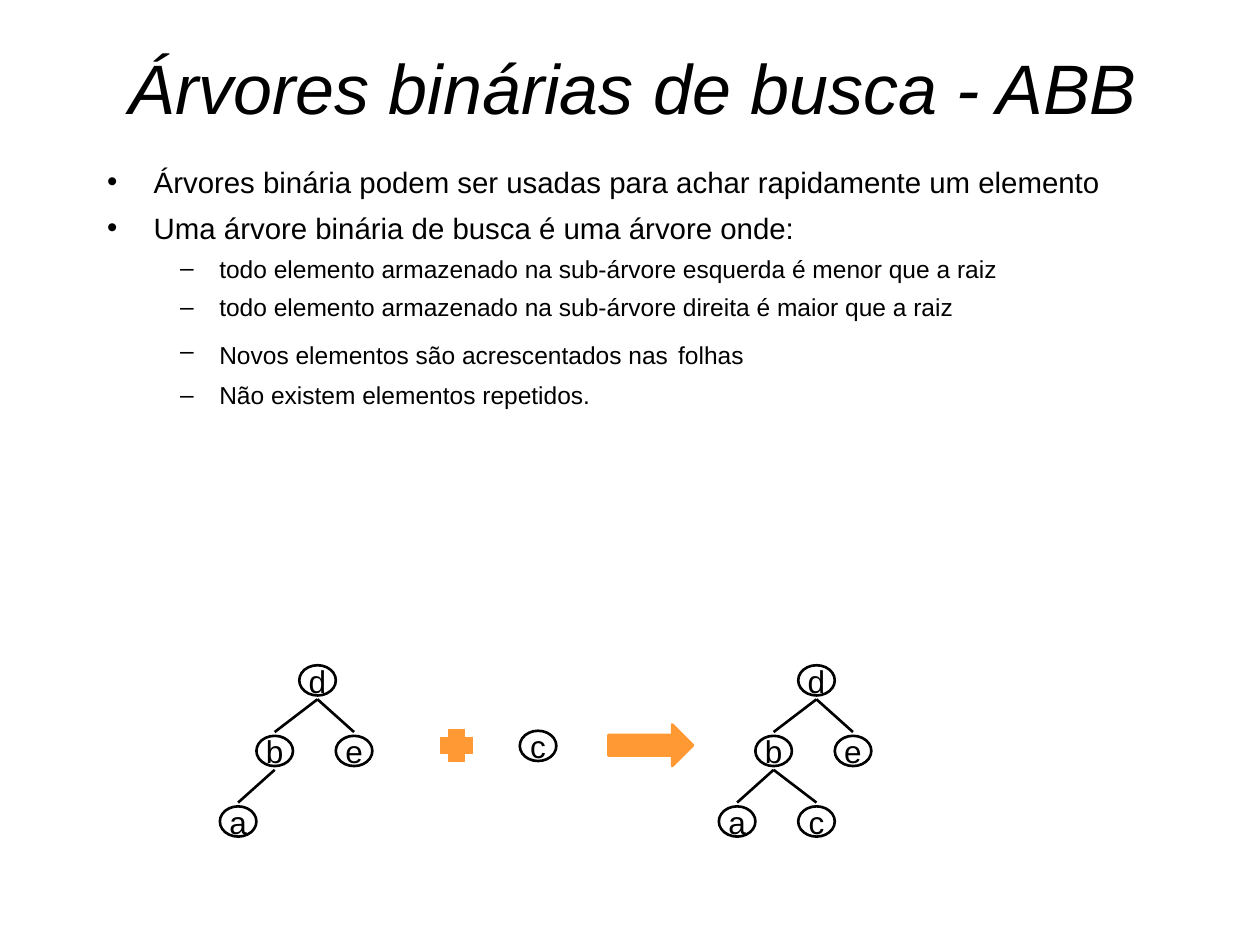
from lxml.etree import SubElement
from pptx import Presentation
from pptx.dml.color import RGBColor
from pptx.enum.shapes import MSO_CONNECTOR, MSO_SHAPE
from pptx.enum.text import MSO_ANCHOR as Anchor, MSO_AUTO_SIZE as Fit, PP_ALIGN as Align
from pptx.oxml.ns import qn
from pptx.util import Inches, Pt

# Content
TITLE = "Árvores binárias de busca - ABB"
BULLETS = [  # level, spans as (text, size)
    (0, [("Árvores binária podem ser usadas para achar rapidamente um elemento", 16.8)]),
    (0, [("Uma árvore binária de busca é uma árvore onde:", 16.8)]),
    (1, [("todo elemento armazenado na sub-árvore esquerda é menor que a raiz", 14)]),
    (1, [("todo elemento armazenado na sub-árvore direita é maior que a raiz", 14)]),
    (1, [("Novos elementos são acrescentados nas", 14), (" ", 19.6), ("folhas", 14)]),
    (1, [("Não existem elementos repetidos.", 14)]),
]
LEVELS = [  # left margin, hanging indent, space before, bullet
    (0.37, -0.37, 6, "•"),
    (0.89, -0.31, 5, "–"),
]

# Node centres relative to the root, and parent-child edges
NODES = {"d": (0, 0), "b": (-0.34, 0.56), "e": (0.29, 0.56), "a": (-0.63, 1.12)}
EDGES = ["db", "de", "ba"]
TREES = [  # root centre, nodes, edges
    ((2.52, 5.4), NODES, EDGES),
    ((4.27, 5.92), {"c": (0, 0)}, []),
    ((6.48, 5.4), NODES | {"c": (0, 1.12)}, EDGES + ["bc"]),
]
SIGNS = [  # shape, place, outline width, adjustments
    (MSO_SHAPE.CROSS, (3.5, 5.79, 0.25, 0.25), 0.75, [0.25]),
    (MSO_SHAPE.RIGHT_ARROW, (4.83, 5.75, 0.67, 0.33), 1.5, [0.5, 0.5]),
]

BLACK, ORANGE = "000000", "FF9933"
NODE_W, NODE_H = 0.29, 0.24
LABEL_W, LABEL_H = 0.14, 0.31
EDGE_GAP = 0.15  # from a node's centre to the end of an edge


def color(value):
    return RGBColor.from_string(value)


def inches(*values):
    return [Inches(value) for value in values]


def set_all(target, **values):
    for name, value in values.items():
        setattr(target, name, value)


def add_span(para, text, size, italic=False):
    span = para.add_run()
    span.text = text
    set_all(span.font, name="Arial", size=Pt(size), italic=italic)
    span.font.color.rgb = color(BLACK)


def set_line(shape, value, width):
    shape.line.color.rgb = color(value)
    shape.line.width = Pt(width)


def place(shape, left, top, width, height):
    set_all(shape, left=Inches(left), top=Inches(top),
            width=Inches(width), height=Inches(height))


def centred(x, y, width, height):
    return inches(x - width / 2, y - height / 2, width, height)


def add_node(shapes, label, x, y):
    ring = shapes.add_shape(MSO_SHAPE.OVAL, *centred(x, y, NODE_W, NODE_H))
    ring.shadow.inherit = False
    ring.fill.background()
    set_line(ring, BLACK, 1.5)
    box = shapes.add_textbox(*centred(x, y, LABEL_W, LABEL_H))
    set_all(box.text_frame, margin_left=0, margin_right=0, margin_top=0, margin_bottom=0,
            word_wrap=False, vertical_anchor=Anchor.MIDDLE, auto_size=Fit.SHAPE_TO_FIT_TEXT)
    para = box.text_frame.paragraphs[0]
    set_all(para, alignment=Align.CENTER, line_spacing=1.02)
    add_span(para, label, 18)


def add_edge(shapes, start, end):
    (x1, y1), (x2, y2) = start, end
    edge = shapes.add_connector(MSO_CONNECTOR.STRAIGHT,
                                *inches(x1, y1 + EDGE_GAP, x2, y2 - EDGE_GAP))
    set_line(edge, BLACK, 1.5)
    SubElement(edge.element.spPr, qn("a:effectLst"))


def add_tree(page, root, nodes, edges):
    shapes = page.shapes.add_group_shape().shapes
    centres = {label: (root[0] + dx, root[1] + dy) for label, (dx, dy) in nodes.items()}
    for label, centre in centres.items():
        add_node(shapes, label, *centre)
    for parent, child in edges:
        add_edge(shapes, centres[parent], centres[child])


def add_sign(page, kind, where, width, adjustments):
    sign = page.shapes.add_shape(kind, *inches(*where))
    for index, value in enumerate(adjustments):
        sign.adjustments[index] = value
    sign.shadow.inherit = False
    sign.fill.solid()
    sign.fill.fore_color.rgb = color(ORANGE)
    set_line(sign, ORANGE, width)


def add_bullet(para, level, spans):
    margin, indent, before, mark = LEVELS[level]
    set_all(para, level=level, space_before=Pt(before), alignment=Align.LEFT)
    props = para._p.get_or_add_pPr()
    props.set("marL", str(Inches(margin)))
    props.set("indent", str(Inches(indent)))
    SubElement(SubElement(props, qn("a:buClr")), qn("a:srgbClr"), val=BLACK)
    SubElement(props, qn("a:buChar"), char=mark)
    for text, size in spans:
        add_span(para, text, size)


def main():
    deck = Presentation()
    set_all(deck, slide_width=Inches(10), slide_height=Inches(7.5))
    page = deck.slides.add_slide(deck.slide_layouts[1])

    # Title
    title, body = page.placeholders
    place(title, 0.77, 0.15, 8.5, 0.92)
    set_all(title.text_frame, vertical_anchor=Anchor.BOTTOM, auto_size=Fit.NONE)
    heading = title.text_frame.paragraphs[0]
    heading.alignment = Align.CENTER
    add_span(heading, TITLE, 40, italic=True)

    # Bullet list
    place(body, 0.75, 1.25, 8.5, 2.24)
    frame = body.text_frame
    set_all(frame, vertical_anchor=Anchor.TOP, auto_size=Fit.NONE)
    for index, (level, spans) in enumerate(BULLETS):
        para = frame.add_paragraph() if index else frame.paragraphs[0]
        add_bullet(para, level, spans)

    # Insertion: tree plus node gives tree
    for tree in TREES:
        add_tree(page, *tree)
    for sign in SIGNS:
        add_sign(page, *sign)

    deck.save("out.pptx")


if __name__ == "__main__":
    main()
